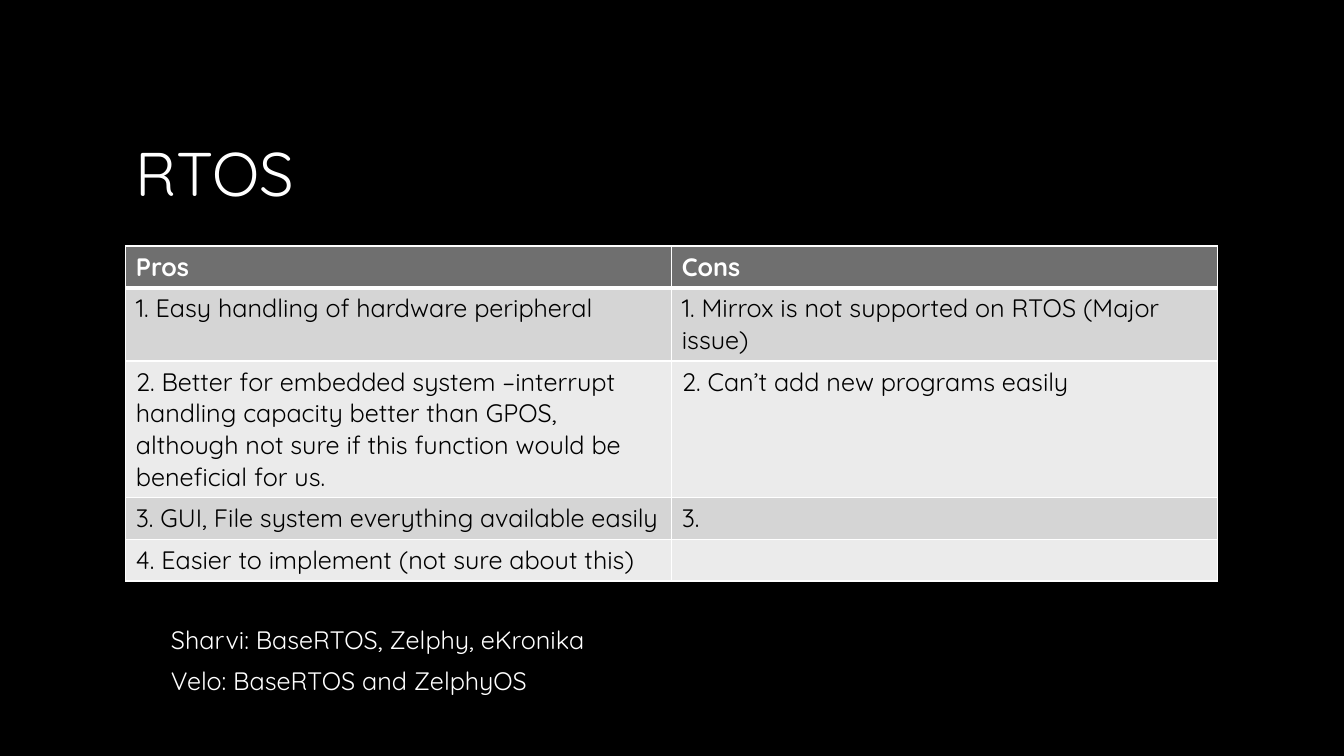
"""Build the RTOS pros and cons slide."""
from lxml import etree
from pptx import Presentation
from pptx.dml.color import RGBColor
from pptx.enum import text as t
from pptx.oxml import ns
from pptx.util import Cm, Pt

TITLE = "RTOS"
ROWS = [
    (1.05, "Pros", "Cons"),
    (1.83, "1. Easy handling of hardware peripheral",
     "1. Mirrox is not supported on RTOS (Major issue)"),
    (3.43, "2. Better for embedded system –interrupt handling capacity better "
     "than GPOS, although not sure if this function would be beneficial for us.",
     "2. Can’t add new programs easily"),
    (1.05, "3. GUI, File system everything available easily", "3."),
    (1.05, "4. Easier to implement (not sure about this)", ""),
]
NOTES = ["Sharvi: BaseRTOS, Zelphy, eKronika", "Velo: BaseRTOS and ZelphyOS"]

FONT = "Quicksand"
WHITE, BLACK, HEADER = "FFFFFF", "000000", "6F6F6F"
BANDS = ["EBEBEB", "D5D5D5"]
LEFT, WIDTH = 3.17, 27.52
TABLE_TOP = 6.2
NOTE_LEFT, NOTE_TOP, NOTE_WIDTH, NOTE_HEIGHT = 4.06, 15.6, 12.67, 1.03


def color(code):
    return RGBColor.from_string(code)


def write(frame, words, size, code, bold=False):
    frame.word_wrap = True
    para = frame.paragraphs[0]
    para.alignment = t.PP_ALIGN.LEFT
    span = para.add_run()
    span.text = words
    span.font.name = FONT
    span.font.size = Pt(size)
    span.font.bold = bold
    span.font.color.rgb = color(code)


def add_borders(cell, bottom):
    properties = cell._tc.get_or_add_tcPr()
    for side, points in (("L", 1), ("R", 1), ("T", 1), ("B", bottom)):
        line = etree.SubElement(properties, ns.qn(f"a:ln{side}"), w=str(Pt(points)))
        fill = etree.SubElement(line, ns.qn("a:solidFill"))
        etree.SubElement(fill, ns.qn("a:srgbClr"), val=WHITE)


def add_title(page):
    box = page.shapes.title
    box.left, box.top, box.width, box.height = Cm(LEFT), Cm(1.7), Cm(WIDTH), Cm(5.28)
    box.text_frame.vertical_anchor = t.MSO_ANCHOR.MIDDLE
    write(box.text_frame, TITLE, 44, WHITE)


def add_comparison(page):
    height = sum(row[0] for row in ROWS)
    table = page.shapes.add_table(
        len(ROWS), 2, Cm(LEFT), Cm(TABLE_TOP), Cm(WIDTH), Cm(height)).table
    for r, (row_height, *entries) in enumerate(ROWS):
        table.rows[r].height = Cm(row_height)
        heading = r == 0
        for c, words in enumerate(entries):
            cell = table.cell(r, c)
            add_borders(cell, 3 if heading else 1)
            cell.fill.solid()
            cell.fill.fore_color.rgb = color(HEADER if heading else BANDS[r % 2])
            if words:
                write(cell.text_frame, words, 18, WHITE if heading else BLACK, heading)


def add_notes(page):
    for i, words in enumerate(NOTES):
        box = page.shapes.add_textbox(
            Cm(NOTE_LEFT), Cm(NOTE_TOP + i * NOTE_HEIGHT), Cm(NOTE_WIDTH), Cm(NOTE_HEIGHT))
        write(box.text_frame, words, 18, WHITE)


def main():
    deck = Presentation()
    deck.slide_width, deck.slide_height = Cm(33.87), Cm(19.05)
    page = deck.slides.add_slide(deck.slide_layouts[5])
    page.background.fill.solid()
    page.background.fill.fore_color.rgb = color(BLACK)
    add_title(page)
    add_comparison(page)
    add_notes(page)
    deck.save("out.pptx")


if __name__ == "__main__":
    main()
